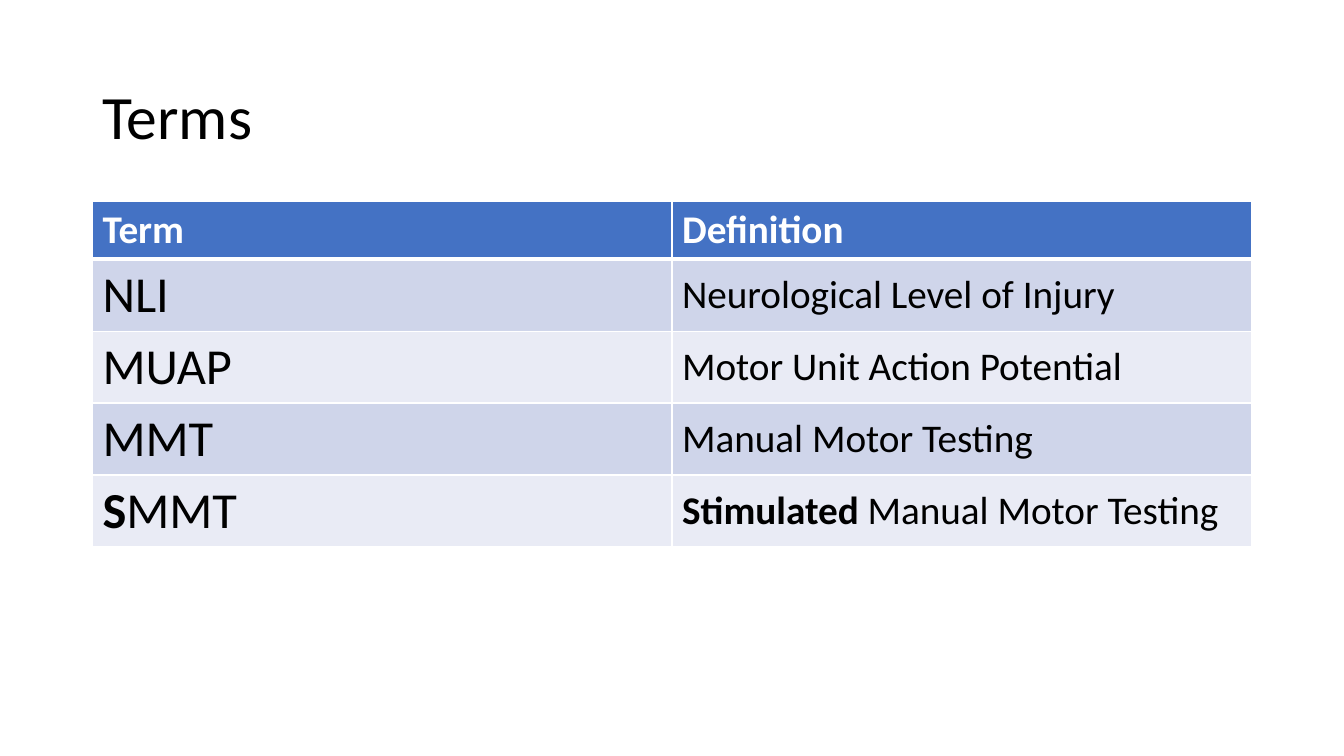
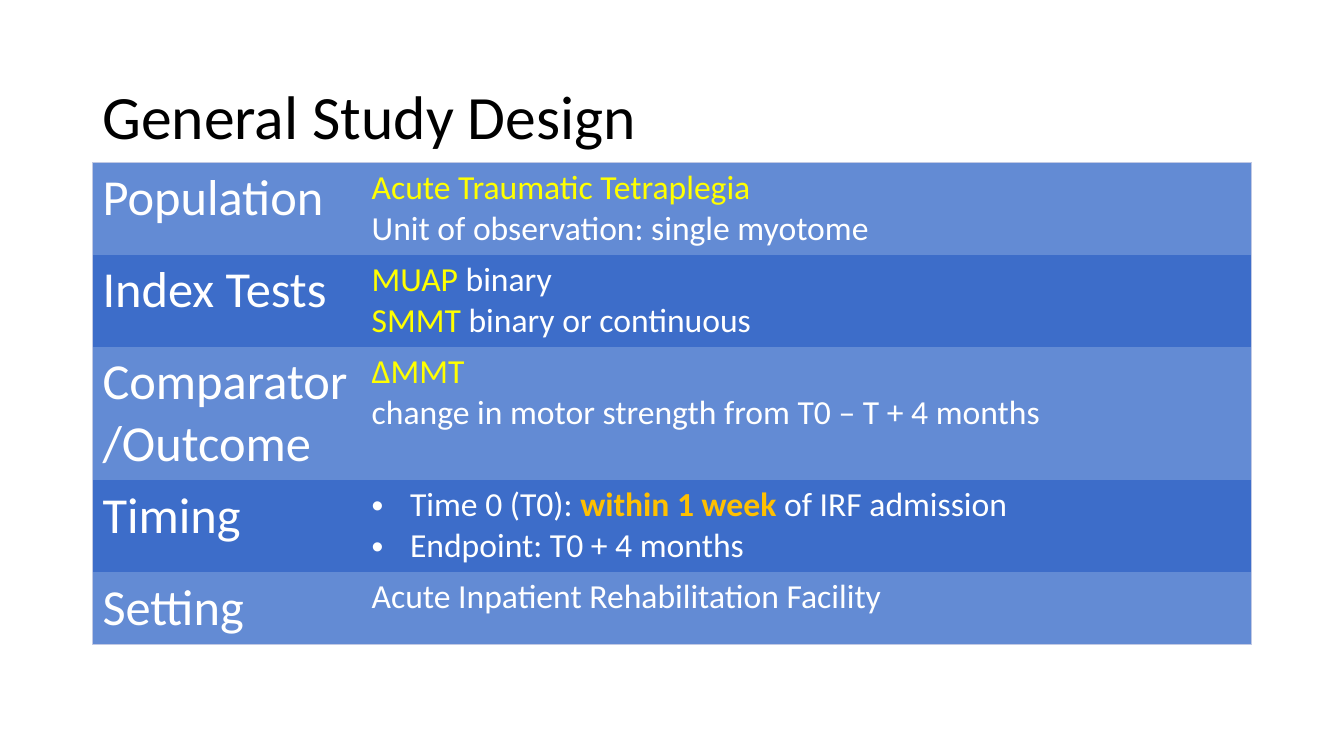
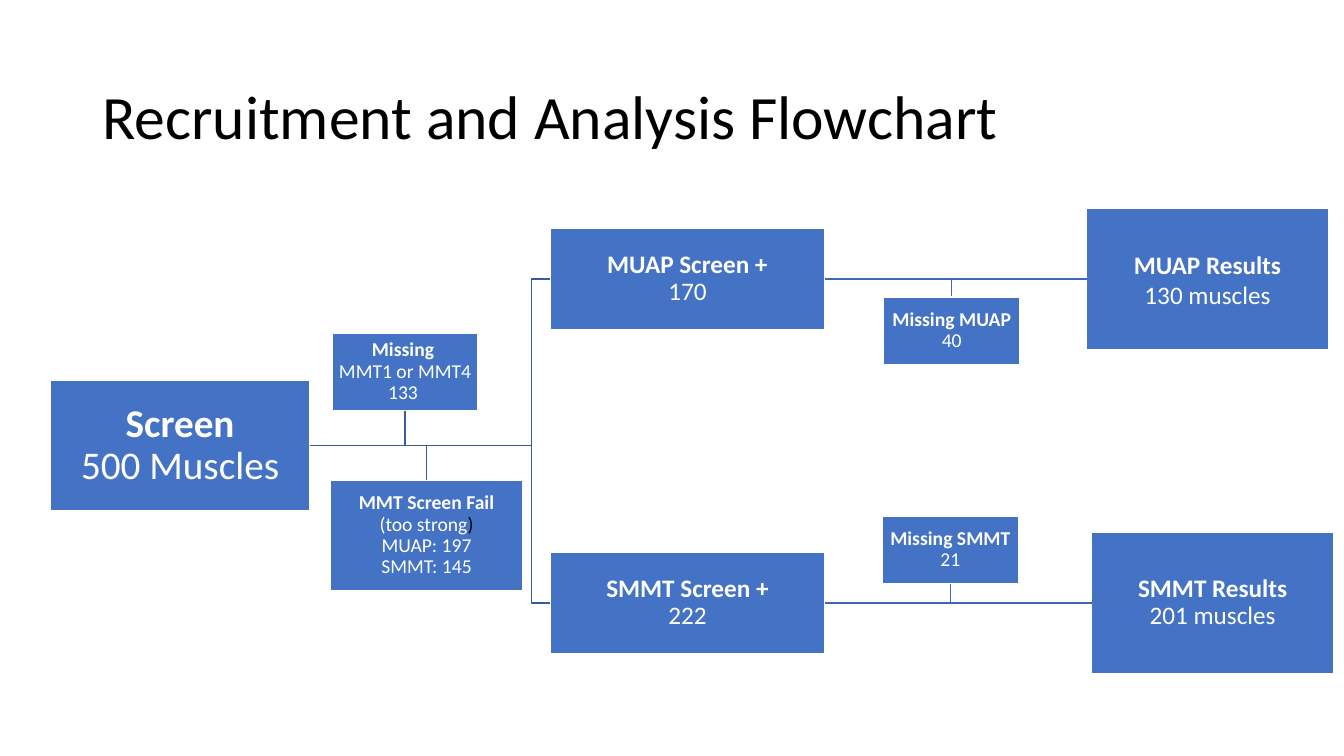
from typing import Any, NamedTuple, Optional

import pptx
import pptx.dml.color
import pptx.enum.shapes
import pptx.enum.text
import pptx.oxml.ns
import pptx.util
from lxml import etree

RGB = pptx.dml.color.RGBColor
Anchor = pptx.enum.text.MSO_ANCHOR

# Shared look
FONT = "Calibri"
BLACK = RGB(0x00, 0x00, 0x00)
NEAR_BLACK = RGB(0x01, 0x00, 0x00)
WHITE = RGB(0xFF, 0xFF, 0xFF)
YELLOW = RGB(0xFF, 0xFF, 0x00)
AMBER = RGB(0xFF, 0xC0, 0x00)
BLUE = RGB(0x44, 0x72, 0xC4)
DEEP = RGB(0x3D, 0x6D, 0xC9)
SOFT = RGB(0x63, 0x8B, 0xD4)
PALE = RGB(0xCF, 0xD5, 0xEA)
FAINT = RGB(0xE9, 0xEB, 0xF5)
FRAME = RGB(0xC1, 0xC9, 0xE4)
TRUNK = RGB(0x36, 0x5B, 0x9D)
BRANCH = RGB(0x3E, 0x67, 0xB2)
NO_STYLE = "{2D5ABB26-0587-4C30-8999-92F81FD0307C}"

# Lengths are percent shares of the slide
WIDTH = pptx.util.Inches(13.33)
HEIGHT = pptx.util.Inches(7.5)
LEFT, BODY = 6.88, 86.25


class Run(NamedTuple):
    text: str
    ink: RGB = BLACK
    bold: bool = False


class Para(NamedTuple):
    runs: tuple[Run, ...]
    bullet: bool = False


class Edge(NamedTuple):
    ink: RGB
    points: float


class Cell(NamedTuple):
    paras: tuple[Para, ...]
    size: float
    fill: RGB
    edges: dict[str, Edge]
    anchor: Any = Anchor.TOP


class Box(NamedTuple):
    left: float
    mid: float
    width: float
    height: float
    size: float
    runs: tuple[Run, ...]
    pitch: float = 0.9


def across(share: float) -> int:
    return round(WIDTH * share / 100)


def down(share: float) -> int:
    return round(HEIGHT * share / 100)


def line(*runs: Run, bullet: bool = False) -> Para:
    return Para(runs, bullet)


def put_text(frame: Any, paras: tuple[Para, ...], size: float, form: dict[str, Any]) -> None:
    """Fill a frame; form holds the format values of each paragraph."""
    for at, para in enumerate(paras):
        p = frame.paragraphs[0] if at == 0 else frame.add_paragraph()
        for key, value in form.items():
            setattr(p, key, value)
        if para.bullet:
            props = p._p.get_or_add_pPr()
            inset = pptx.util.Inches(0.38)
            props.set("marL", str(inset))
            props.set("indent", str(-inset))
            etree.SubElement(props, pptx.oxml.ns.qn("a:buFont"), typeface="Arial")
            etree.SubElement(props, pptx.oxml.ns.qn("a:buChar"), char="•")
        for run in para.runs:
            for row, part in enumerate(run.text.split("\n")):
                if row:
                    p.add_line_break()
                if not part:
                    continue
                r = p.add_run()
                r.text = part
                style = {"name": FONT, "size": pptx.util.Pt(size), "bold": run.bold}
                for key, value in style.items():
                    setattr(r.font, key, value)
                r.font.color.rgb = run.ink


def add_slide(deck: Any, title: str) -> Any:
    slide = deck.slides.add_slide(deck.slide_layouts[6])
    box = slide.shapes.add_textbox(across(LEFT), down(6.93), across(76.2), down(17.73))
    frame = box.text_frame
    frame.word_wrap = True
    frame.vertical_anchor = Anchor.MIDDLE
    put_text(frame, (line(Run(title)),), 44, {"line_spacing": 0.9})
    return slide


def add_edge(cell: Any, side: str, edge: Optional[Edge]) -> None:
    qn = pptx.oxml.ns.qn
    ln = etree.SubElement(cell._tc.get_or_add_tcPr(), qn(f"a:ln{side}"))
    if edge is None:
        etree.SubElement(ln, qn("a:noFill"))
        return
    ln.set("w", str(pptx.util.Pt(edge.points)))
    fill = etree.SubElement(ln, qn("a:solidFill"))
    etree.SubElement(fill, qn("a:srgbClr"), val=str(edge.ink))


def add_table(slide: Any, top: float, cols: list[float], rows: list[float],
              cells: list[list[Cell]]) -> None:
    table = slide.shapes.add_table(
        len(rows), len(cols), across(LEFT), down(top), across(sum(cols)), down(sum(rows))
    ).table
    table.first_row = table.horz_banding = False
    table._tbl.tblPr.find(pptx.oxml.ns.qn("a:tableStyleId")).text = NO_STYLE
    for col, share in zip(table.columns, cols):
        col.width = across(share)
    for row, share in zip(table.rows, rows):
        row.height = down(share)
    for y, group in enumerate(cells):
        for x, spec in enumerate(group):
            cell = table.cell(y, x)
            for side in "LRTB":
                add_edge(cell, side, spec.edges.get(side))
            cell.fill.solid()
            cell.fill.fore_color.rgb = spec.fill
            cell.vertical_anchor = spec.anchor
            put_text(cell.text_frame, spec.paras, spec.size, {})


def add_box(slide: Any, box: Box) -> Any:
    shape = slide.shapes.add_shape(
        pptx.enum.shapes.MSO_SHAPE.RECTANGLE, across(box.left),
        down(box.mid - box.height / 2), across(box.width), down(box.height))
    shape.shadow.inherit = False
    shape.fill.solid()
    shape.fill.fore_color.rgb = BLUE
    shape.line.color.rgb = WHITE
    shape.line.width = pptx.util.Pt(1)
    frame = shape.text_frame
    form = {"word_wrap": True, "vertical_anchor": Anchor.MIDDLE}
    form |= {f"margin_{side}": pptx.util.Inches(0.01)
             for side in ("left", "right", "top", "bottom")}
    for key, value in form.items():
        setattr(frame, key, value)
    put_text(frame, (Para(box.runs),), box.size,
             {"alignment": pptx.enum.text.PP_ALIGN.CENTER, "line_spacing": box.pitch})
    return shape


def add_bend(slide: Any, ink: RGB, *spots: tuple[float, float]) -> None:
    """Draw an open outline through the spots."""
    first, *rest = [(across(x), down(y)) for x, y in spots]
    maker = slide.shapes.build_freeform(*first)
    maker.add_line_segments(rest, close=False)
    bend = maker.convert_to_shape()
    bend.shadow.inherit = False
    bend.fill.background()
    bend.line.color.rgb = ink
    bend.line.width = pptx.util.Pt(1)


def add_link(slide: Any, ink: RGB, tail: Any, head: Any) -> None:
    """Join the right side of one box to the left side of the next."""
    link = slide.shapes.add_connector(pptx.enum.shapes.MSO_CONNECTOR.STRAIGHT, 0, 0, 0, 0)
    link.line.color.rgb = ink
    link.line.width = pptx.util.Pt(1)
    etree.SubElement(link._element.spPr, pptx.oxml.ns.qn("a:effectLst"))
    link.begin_connect(tail, 3)
    link.end_connect(head, 1)


def draw_terms(deck: Any) -> None:
    slide = add_slide(deck, "Terms")
    thin, thick = Edge(WHITE, 1), Edge(WHITE, 3)
    grid = dict.fromkeys("LRTB", thin)
    cells = [[Cell((line(Run(name, WHITE, True)),), 28, BLUE, grid | {"B": thick})
              for name in ("Term", "Definition")]]
    terms = [
        ("", "NLI", "", "Neurological Level of Injury"),
        ("", "MUAP", "", "Motor Unit Action Potential"),
        ("", "MMT", "", "Manual Motor Testing"),
        ("S", "MMT", "Stimulated ", "Manual Motor Testing"),
    ]
    for at, (mark, term, lead, sense) in enumerate(terms):
        fill = FAINT if at % 2 else PALE
        edges = grid if at else grid | {"T": thick}
        cells.append([
            Cell((line(Run(mark, bold=True), Run(term)),), 36, fill, edges),
            Cell((line(Run(lead, bold=True), Run(sense)),), 28, fill, edges, Anchor.MIDDLE),
        ])
    add_table(slide, 26.67, [BODY / 2] * 2, [7.63] + [9.51] * len(terms), cells)


def draw_design(deck: Any) -> None:
    slide = add_slide(deck, "General Study Design")
    facts = [
        ("Population", 12.18, (
            line(Run("Acute Traumatic Tetraplegia", YELLOW)),
            line(Run("Unit of observation: single myotome", WHITE)))),
        ("Index Tests", 12.18, (
            line(Run("MUAP ", YELLOW), Run("binary", WHITE)),
            line(Run("SMMT ", YELLOW), Run("binary or continuous", WHITE)))),
        ("Comparator/Outcome", 17.63, (
            line(Run("ΔMMT", YELLOW)),
            line(Run("change in motor strength from T0 – T + 4 months", WHITE)))),
        ("Timing", 12.18, (
            line(Run("Time 0 (T0): ", WHITE), Run("within 1 week ", AMBER, True),
                 Run("of IRF admission", WHITE), bullet=True),
            line(Run("Endpoint: T0 + 4 months", WHITE), bullet=True))),
        ("Setting", 9.51, (
            line(Run("Acute Inpatient Rehabilitation Facility", WHITE)),)),
    ]
    rim = Edge(FRAME, 0.5)
    cells = []
    for at, (name, _, paras) in enumerate(facts):
        fill = DEEP if at % 2 else SOFT
        ends = {"T": rim} if at == 0 else {"B": rim} if at == len(facts) - 1 else {}
        cells.append([
            Cell((line(Run(name, WHITE)),), 36, fill, ends | {"L": rim}),
            Cell(paras, 24, fill, ends | {"R": rim}),
        ])
    add_table(slide, 21.5, [20.03, BODY - 20.03], [fact[1] for fact in facts], cells)


def draw_flow(deck: Any) -> None:
    slide = add_slide(deck, "Recruitment and Analysis Flowchart")
    high, trunk, low, bus = 36.93, 58.93, 79.76, 39.53

    def pair(head: str, rest: str) -> tuple[Run, ...]:
        return Run(head + "\n", WHITE, True), Run(rest, WHITE)

    boxes = {
        "screen": Box(3.75, trunk, 19.3, 17.33, 28, pair("Screen", "500 Muscles")),
        "muap": Box(40.95, high, 20.4, 13.33, 18, pair("MUAP Screen +", "170")),
        "muap_end": Box(80.85, high, 18, 18.67, 18, pair("MUAP Results", "130 muscles"), 1.0),
        "muap_gap": Box(65.75, 43.76, 10.13, 8.93, 14, pair("Missing MUAP", "40")),
        "smmt": Box(40.95, low, 20.4, 13.33, 18, pair("SMMT Screen +", "222")),
        "smmt_end": Box(81.23, low, 18, 18.67, 18, pair("SMMT Results", "201 muscles")),
        "smmt_gap": Box(65.65, 72.73, 10.13, 8.93, 14, pair("Missing SMMT", "21")),
        "mmt_gap": Box(24.75, 49.18, 10.8, 10.27, 14, pair("Missing ", "MMT1 or MMT4\n133 ")),
        "fail": Box(24.6, 70.82, 14.28, 14.53, 14,
                    pair("MMT Screen Fail", "(too strong")
                    + (Run(")\n", NEAR_BLACK), Run("MUAP: 197\nSMMT: 145", WHITE))),
    }

    # Bent lines to the losses: sign 1 stands above its lane, -1 hangs below
    for name, source, sign, ink in (("fail", "screen", -1, TRUNK), ("mmt_gap", "screen", 1, TRUNK),
                                    ("smmt_gap", "smmt", 1, BRANCH),
                                    ("muap_gap", "muap", -1, BRANCH)):
        loss, root = boxes[name], boxes[source]
        x = loss.left + loss.width / 2
        add_bend(slide, ink, (root.left + root.width, root.mid), (x, root.mid),
                 (x, loss.mid + sign * loss.height / 2))

    # Fork from the screen to both tests
    root = boxes["screen"]
    for name in ("smmt", "muap"):
        test = boxes[name]
        add_bend(slide, TRUNK, (root.left + root.width, trunk), (bus, trunk),
                 (bus, test.mid), (test.left, test.mid))

    # Boxes, then the straight links to the results
    shapes = {name: add_box(slide, box) for name, box in boxes.items()}
    for name in ("smmt", "muap"):
        add_link(slide, BRANCH, shapes[name], shapes[name + "_end"])


def main() -> None:
    deck = pptx.Presentation()
    deck.slide_width, deck.slide_height = WIDTH, HEIGHT
    for draw in (draw_terms, draw_design, draw_flow):
        draw(deck)
    deck.save("out.pptx")


if __name__ == "__main__":
    main()
